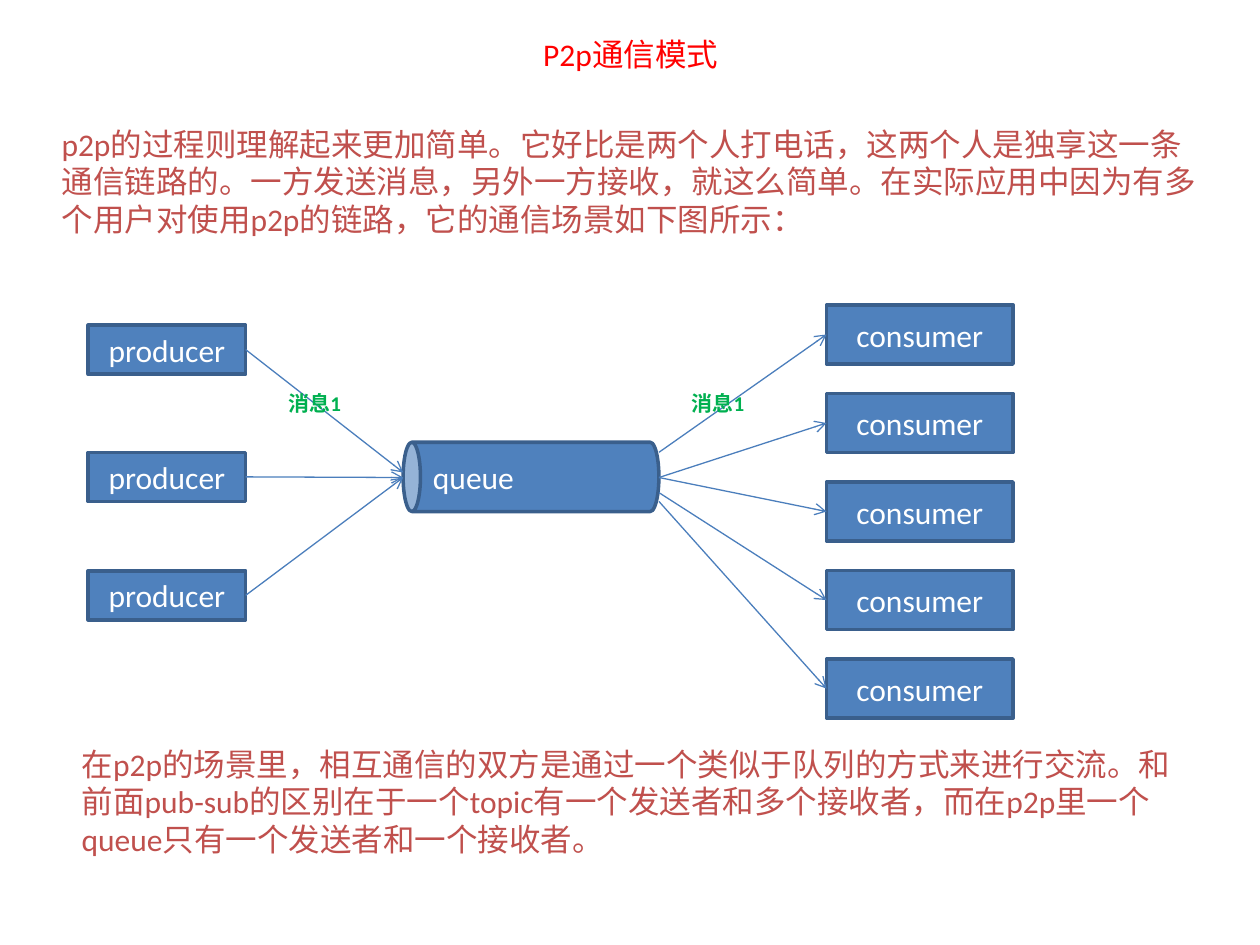
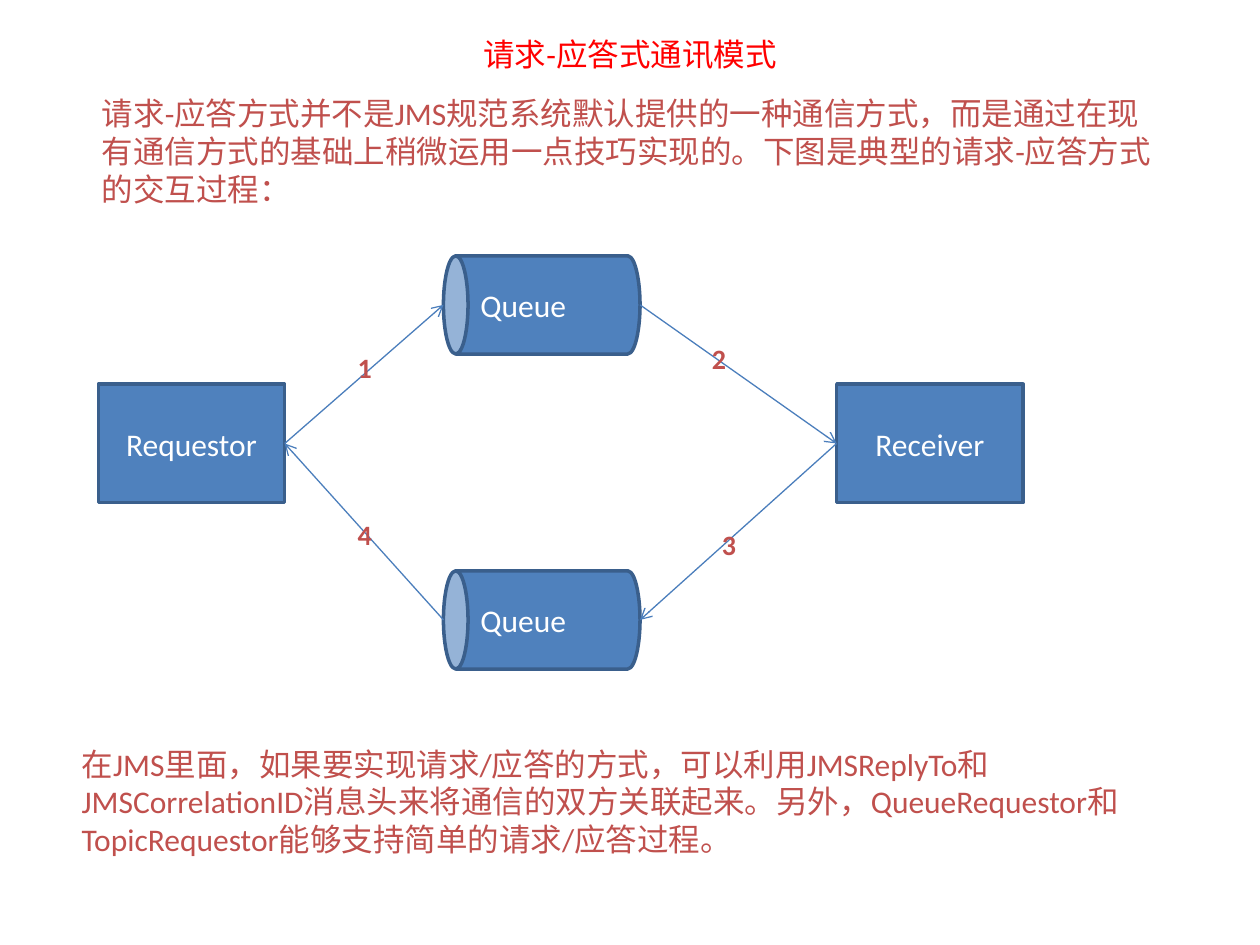
from lxml import etree
from pptx import Presentation
from pptx import util as u
from pptx.dml.color import RGBColor
from pptx.enum import shapes, text
from pptx.oxml.ns import qn

COLORS = {"title": "FF0000", "body": "C0504D", "message": "00B050", "label": "FFFFFF",
          "fill": "4F81BD", "outline": "3A5F8C", "arrow": "4B7EBC"}
FONT = "Calibri"
LEFT_SITE, RIGHT_SITE = 1, 3
CLOSING_BOX = (0.55, 5.86, 8.98, 1.01)

P2P = {
    "title": ("P2p通信模式", (0.98, 0.23, 8.05, 0.4)),
    "intro": ("p2p的过程则理解起来更加简单。它好比是两个人打电话，这两个人是独享这一条通信链路的。"
              "一方发送消息，另外一方接收，就这么简单。在实际应用中因为有多个用户对使用p2p的链路，"
              "它的通信场景如下图所示：", (0.39, 0.94, 9.3, 1.01)),
    "closing": "在p2p的场景里，相互通信的双方是通过一个类似于队列的方式来进行交流。"
               "和前面pub-sub的区别在于一个topic有一个发送者和多个接收者，"
               "而在p2p里一个queue只有一个发送者和一个接收者。",
    "queue": (3.2, 3.51, 2.03, 0.55),
    "producer_tops": [2.58, 3.59, 4.53],
    "queue_entries": [3.75, 3.79, 3.79],
    "consumer_tops": (2.42, 5.23),
    "queue_exits": [3.59, 3.79, 3.79, 3.91, 3.98],
    "message_lefts": [2.19, 5.39],
}
REQUEST_REPLY = {
    "title": ("请求-应答式通讯模式", (0.71, 0.23, 8.58, 0.4)),
    "intro": ("请求-应答方式并不是JMS规范系统默认提供的一种通信方式，而是通过在现有通信方式的基础上"
              "稍微运用一点技巧实现的。下图是典型的请求-应答方式的交互过程：", (0.71, 0.7, 8.58, 1.01)),
    "closing": "在JMS里面，如果要实现请求/应答的方式，可以利用JMSReplyTo和JMSCorrelationID消息头"
               "来将通信的双方关联起来。另外，QueueRequestor和TopicRequestor能够支持简单的请求/应答过程。",
    "requestor_left": 0.78,
    "receiver_left": 6.64,
    "queue_tops": [2.03, 4.53],
    "steps": [("1", 2.58, 2.73), ("2", 5.39, 2.66), ("3", 5.47, 4.14), ("4", 2.58, 4.06)],
}


def inches(values):
    return [u.Inches(value) for value in values]


def rgb(name):
    return RGBColor.from_string(COLORS[name])


def write(shape, words, color="body", size=18, bold=False, center=False, middle=False):
    frame = shape.text_frame
    frame.word_wrap = True
    frame.vertical_anchor = text.MSO_ANCHOR.MIDDLE if middle else text.MSO_ANCHOR.TOP
    paragraph = frame.paragraphs[0]
    paragraph.alignment = text.PP_ALIGN.CENTER if center else text.PP_ALIGN.LEFT
    run = paragraph.add_run()
    run.text = words
    run.font.name, run.font.size, run.font.bold = FONT, u.Pt(size), bold
    run.font.color.rgb = rgb(color)


def add_text(slide, words, box, **style):
    write(slide.shapes.add_textbox(*inches(box)), words, **style)


def add_node(slide, label, box, kind=shapes.MSO_SHAPE.RECTANGLE):
    node = slide.shapes.add_shape(kind, *inches(box))
    node.shadow.inherit = False
    node.fill.solid()
    node.fill.fore_color.rgb = rgb("fill")
    node.line.color.rgb = rgb("outline")
    node.line.width = u.Pt(2)
    write(node, label, color="label", center=True, middle=True)
    return node


def add_queue(slide, label, box):
    """Lay a can on its side so that it covers box as seen on the slide."""
    left, top, width, height = box
    shift = (width - height) / 2
    can = add_node(slide, label, (left + shift, top - shift, height, width), shapes.MSO_SHAPE.CAN)
    can.rotation = 270
    can.text_frame._txBody.bodyPr.set("vert", "eaVert")


def add_arrow(slide, start, end, source=None, target=None):
    """Draw an arrow, glued to the source's right or the target's left edge if given."""
    arrow = slide.shapes.add_connector(shapes.MSO_CONNECTOR.STRAIGHT, *inches(start + end))
    if source:
        arrow.begin_connect(source, RIGHT_SITE)
    if target:
        arrow.end_connect(target, LEFT_SITE)
    arrow.line.color.rgb = rgb("arrow")
    arrow.line.width = u.Pt(0.75)
    etree.SubElement(arrow.line._get_or_add_ln(), qn("a:tailEnd"), type="arrow")
    etree.SubElement(arrow._element.spPr, qn("a:effectLst"))


def add_page(deck, content):
    slide = deck.slides.add_slide(deck.slide_layouts[5])
    words, box = content["title"]
    title = slide.shapes.title
    title.left, title.top, title.width, title.height = inches(box)
    write(title, words, color="title", center=True)
    add_text(slide, *content["intro"])
    add_text(slide, content["closing"], CLOSING_BOX)
    return slide


def draw_p2p(slide, content):
    left, top, width, height = content["queue"]
    add_queue(slide, "queue", content["queue"])

    producer_left, producer_width, producer_height = 0.7, 1.25, 0.39
    for y, entry in zip(content["producer_tops"], content["queue_entries"]):
        producer = add_node(slide, "producer", (producer_left, y, producer_width, producer_height))
        start = (producer_left + producer_width, y + producer_height / 2)
        add_arrow(slide, start, (left, entry), source=producer)

    consumer_left, consumer_width, consumer_height = 6.56, 1.48, 0.47
    first, last = content["consumer_tops"]
    step = (last - first) / (len(content["queue_exits"]) - 1)
    for i, leave in enumerate(content["queue_exits"]):
        y = first + i * step
        consumer = add_node(slide, "consumer", (consumer_left, y, consumer_width, consumer_height))
        end = (consumer_left, y + consumer_height / 2)
        add_arrow(slide, (left + width, leave), end, target=consumer)

    for x in content["message_lefts"]:
        add_text(slide, "消息1", (x, 3.05, 0.94, 0.3), color="message", size=12, bold=True)


def draw_request_reply(slide, content):
    party_top, party_width, party_height = 3.05, 1.48, 0.94
    queue_left, queue_width, queue_height = 3.52, 1.56, 0.78
    requestor_left, receiver_left = content["requestor_left"], content["receiver_left"]
    requestor = add_node(slide, "Requestor", (requestor_left, party_top, party_width, party_height))
    receiver = add_node(slide, "Receiver", (receiver_left, party_top, party_width, party_height))
    for y in content["queue_tops"]:
        add_queue(slide, "Queue", (queue_left, y, queue_width, queue_height))

    party_middle = party_top + party_height / 2
    requestor_side = (requestor_left + party_width, party_middle)
    receiver_side = (receiver_left, party_middle)
    request_y, reply_y = [y + queue_height / 2 for y in content["queue_tops"]]
    queue_right = queue_left + queue_width
    add_arrow(slide, requestor_side, (queue_left, request_y), source=requestor)
    add_arrow(slide, (queue_right, request_y), receiver_side, target=receiver)
    add_arrow(slide, receiver_side, (queue_right, reply_y))
    add_arrow(slide, (queue_left, reply_y), requestor_side)

    for number, x, y in content["steps"]:
        add_text(slide, number, (x, y, 0.63, 0.37), size=16, bold=True, center=True)


def main():
    deck = Presentation()
    deck.slide_width, deck.slide_height = u.Inches(10), u.Inches(7.5)
    draw_p2p(add_page(deck, P2P), P2P)
    draw_request_reply(add_page(deck, REQUEST_REPLY), REQUEST_REPLY)
    deck.save("out.pptx")


if __name__ == "__main__":
    main()
